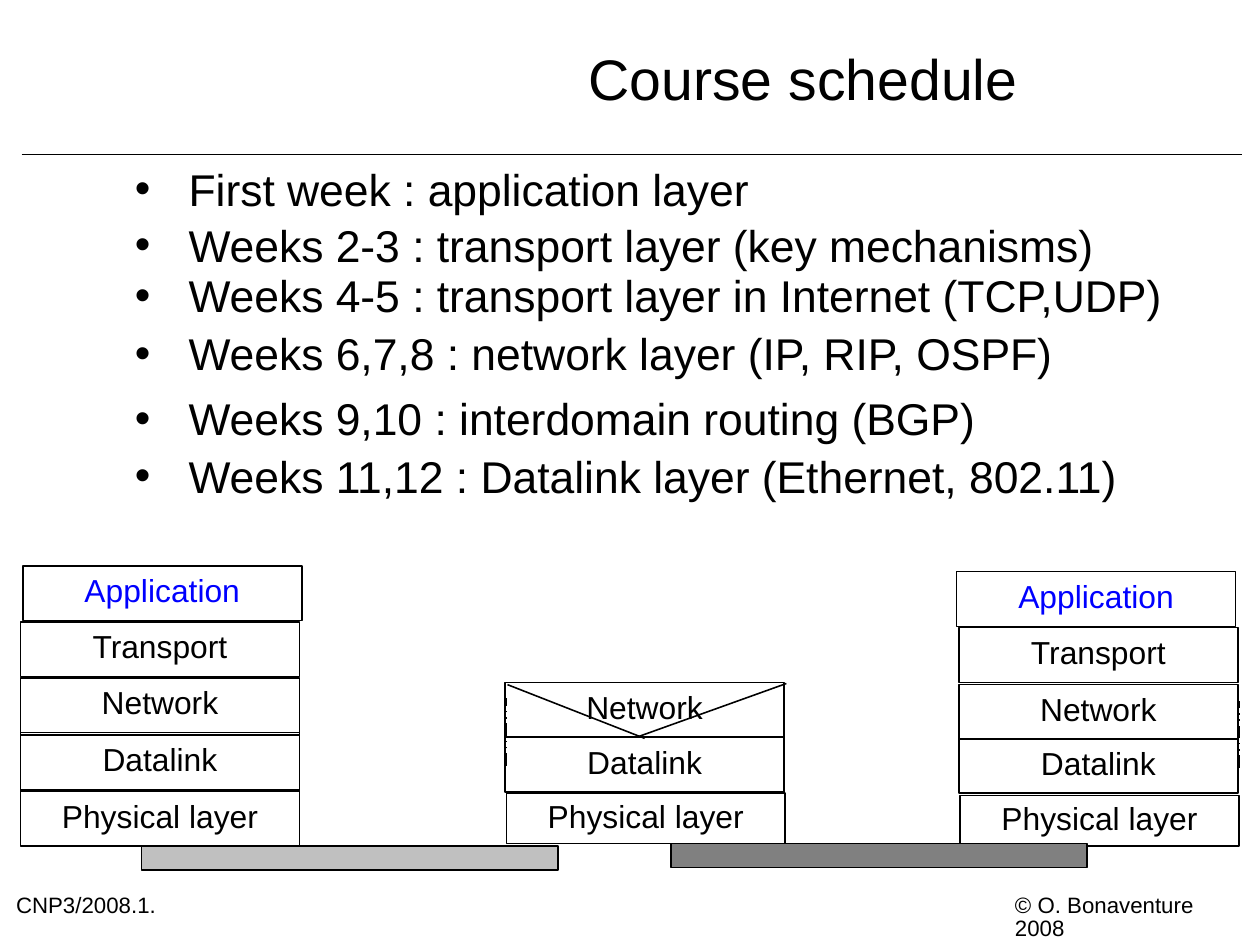
from lxml.etree import SubElement
from pptx import Presentation
from pptx.dml.color import RGBColor
from pptx.enum.dml import MSO_LINE
from pptx.enum.shapes import MSO_CONNECTOR, MSO_SHAPE
from pptx.enum.text import MSO_ANCHOR, MSO_AUTO_SIZE, PP_ALIGN
from pptx.oxml.ns import qn
from pptx.util import Inches, Pt

BLACK, BLUE = "000000", "0000FF"
CM_PER_INCH = 2.54
LAYER_WIDTH, LAYER_HEIGHT = 2.44, 0.48

SCHEDULE = [
    (1.49, "First week : application layer"),
    (1.98, "Weeks 2-3 : transport layer (key mechanisms)"),
    (2.42, "Weeks 4-5 : transport layer in Internet (TCP,UDP)"),
    (2.93, "Weeks 6,7,8 : network layer (IP, RIP, OSPF)"),
    (3.5, "Weeks 9,10 : interdomain routing (BGP)"),
    (4, "Weeks 11,12 : Datalink layer (Ethernet, 802.11)"),
]

# Layer names from top to bottom
LAYERS = ["Application", "Transport", "Network", "Datalink", "Physical layer"]

# Left and top of each layer; a shorter stack holds the lowest layers
HOST_A = [(0.2, 4.95), (0.18, 5.44), (0.18, 5.93), (0.18, 6.43), (0.18, 6.92)]
ROUTER = [(4.42, 5.97), (4.42, 6.45), (4.43, 6.94)]
HOST_B = [(8.37, 5), (8.39, 5.49), (8.39, 5.99), (8.39, 6.46), (8.4, 6.96)]


def color(value):
    return RGBColor.from_string(value)


def apply(target, values):
    for name, value in values.items():
        setattr(target, name, value)


def write(shape, text, size, ink=BLACK, align=PP_ALIGN.LEFT,
          anchor=MSO_ANCHOR.TOP, wrap=True, bullet=False):
    frame = shape.text_frame
    fit = MSO_AUTO_SIZE.NONE if wrap else MSO_AUTO_SIZE.SHAPE_TO_FIT_TEXT
    apply(frame, {"margin_left": 0, "margin_top": 0, "margin_right": 0,
                  "margin_bottom": 0, "word_wrap": wrap, "auto_size": fit,
                  "vertical_anchor": anchor})
    para = frame.paragraphs[0]
    apply(para, {"alignment": align, "line_spacing": 0.84})
    if bullet:
        properties = para._p.get_or_add_pPr()
        properties.set("marL", str(Inches(0.56)))
        properties.set("indent", str(Inches(-0.47)))
        SubElement(properties, qn("a:buFont"), typeface="Arial")
        SubElement(properties, qn("a:buChar"), char="•")
    span = para.add_run()
    span.text = text
    apply(span.font, {"name": "Arial", "size": Pt(size)})
    span.font.color.rgb = color(ink)


def add_text(page, left, top, width, height, text, size, **style):
    box = page.shapes.add_textbox(*map(Inches, (left, top, width, height)))
    write(box, text, size, **style)


def add_box(page, left, top, width, height, fill=None):
    box = page.shapes.add_shape(MSO_SHAPE.ROUNDED_RECTANGLE,
                                *map(Inches, (left, top, width, height)))
    box.adjustments[0] = 0
    box.shadow.inherit = False
    if fill:
        box.fill.solid()
        box.fill.fore_color.rgb = color(fill)
    else:
        box.fill.background()
    box.line.color.rgb = color(BLACK)
    box.line.width = Pt(1)
    return box


def add_line(page, x1, y1, x2, y2, dash=None):
    line = page.shapes.add_connector(MSO_CONNECTOR.STRAIGHT,
                                     *map(Inches, (x1, y1, x2, y2)))
    line.line.color.rgb = color(BLACK)
    apply(line.line, {"width": Pt(1), "dash_style": dash})
    SubElement(line._element.spPr, qn("a:effectLst"))


def add_stack(page, places, bottom_height):
    names = LAYERS[-len(places):]
    for name, (left, top) in zip(names, places):
        height = bottom_height if name == LAYERS[-1] else LAYER_HEIGHT
        box = add_box(page, left, top, LAYER_WIDTH, height)
        write(box, name, 20, BLUE if name == LAYERS[0] else BLACK,
              PP_ALIGN.CENTER, MSO_ANCHOR.MIDDLE)


def main():
    deck = Presentation()
    deck.slide_width = Inches(28 / CM_PER_INCH)
    deck.slide_height = Inches(21 / CM_PER_INCH)
    page = deck.slides.add_slide(deck.slide_layouts[6])

    # Title and rule
    add_line(page, 0.19, 1.35, 10.87, 1.35)
    add_text(page, 3.73, 0, 6.59, 1.45, "Course schedule", 36,
             align=PP_ALIGN.CENTER, anchor=MSO_ANCHOR.MIDDLE)

    # Weekly schedule
    for top, text in SCHEDULE:
        add_text(page, 1.09, top, 9.42, 0.56, text, 28, bullet=True)

    # Dashed sides of the stacks
    for x, bottom in [(0.18, 6.72), (2.62, 6.72), (10.84, 6.72), (4.43, 6.7)]:
        add_line(page, x, bottom, x, bottom - 0.59, MSO_LINE.DASH_DOT_DOT)

    # Protocol stacks
    add_stack(page, HOST_A, 0.48)
    add_stack(page, ROUTER, 0.44)
    add_stack(page, HOST_B, 0.44)

    # Router mark
    add_line(page, 4.44, 5.99, 5.64, 6.46)
    add_line(page, 5.57, 6.45, 6.88, 5.98)

    # Physical links
    add_box(page, 1.24, 7.4, 3.64, 0.21, "C0C0C0")
    add_box(page, 5.87, 7.38, 3.64, 0.21, "808080")

    # Footer
    add_text(page, 0.14, 7.84, 1.68, 0.24, "CNP3/2008.1.", 14)
    add_text(page, 8.88, 7.84, 2.05, 0.2, "© O. Bonaventure 2008", 14, wrap=False)

    deck.save("out.pptx")


if __name__ == "__main__":
    main()
